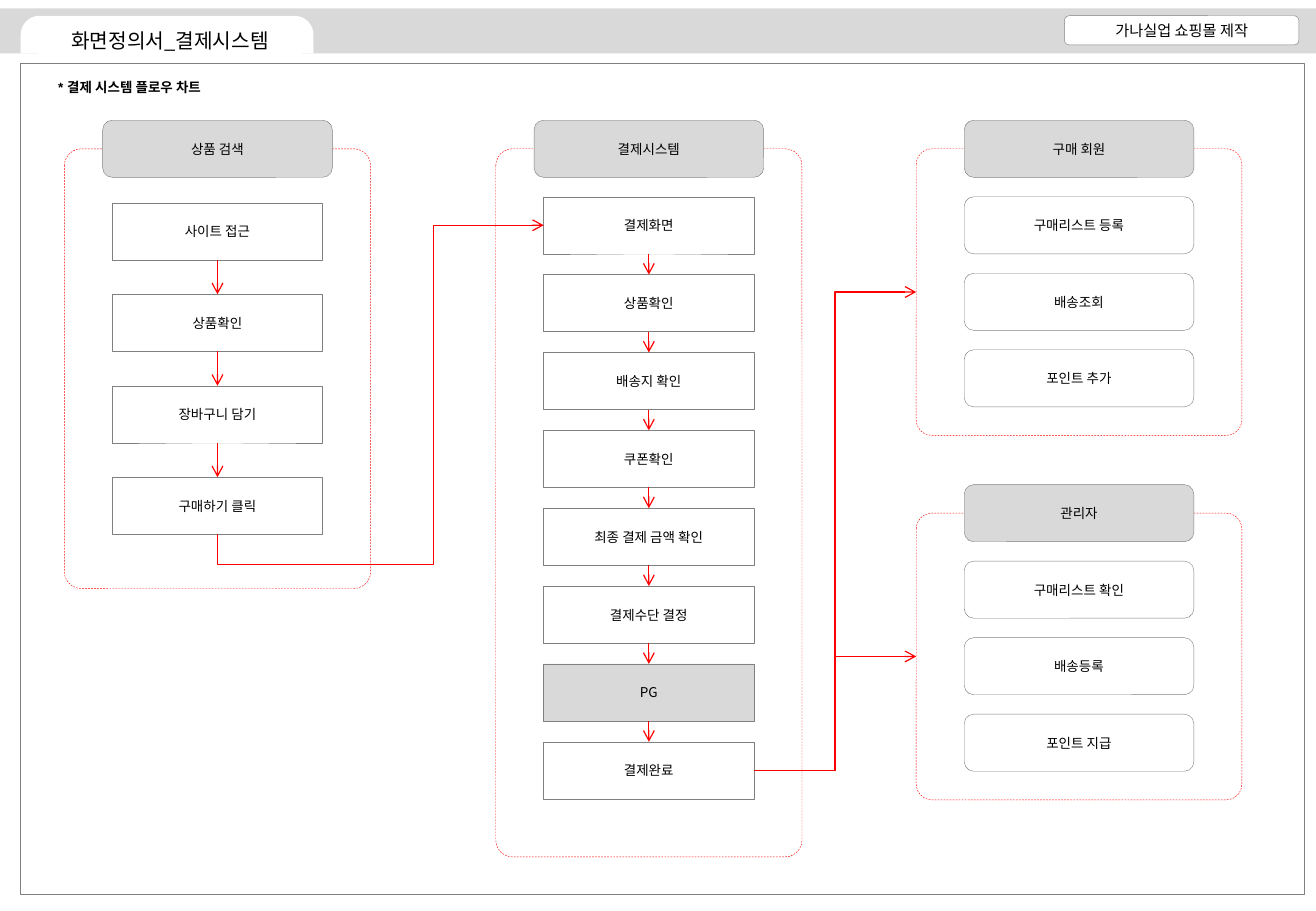
from dataclasses import dataclass
from itertools import pairwise

from lxml.etree import SubElement
from pptx import Presentation
from pptx.dml.color import RGBColor
from pptx.enum.dml import MSO_LINE
from pptx.enum.shapes import MSO_CONNECTOR, MSO_SHAPE
from pptx.enum.text import MSO_ANCHOR, MSO_AUTO_SIZE, PP_ALIGN
from pptx.oxml.ns import qn
from pptx.shapes.autoshape import Shape
from pptx.shapes.connector import Connector
from pptx.util import Inches, Pt

BLACK = RGBColor(0x00, 0x00, 0x00)
WHITE = RGBColor(0xFF, 0xFF, 0xFF)
GRAY = RGBColor(0x80, 0x80, 0x80)
LIGHT = RGBColor(0xD9, 0xD9, 0xD9)
RED = RGBColor(0xFF, 0x00, 0x00)
FONT = "Noto Sans CJK KR"
RECT, ROUND = MSO_SHAPE.RECTANGLE, MSO_SHAPE.ROUNDED_RECTANGLE
TOP, LEFT, BOTTOM, RIGHT = range(4)  # connection sites
BOX_H, HEADER_W = 0.47, 1.89


@dataclass
class Column:
    title: str
    steps: list[str]
    center: float
    top: float
    panel_w: float
    panel_h: float
    first: float  # top of the first step
    pitch: float
    step_w: float = 1.73
    step_kind: MSO_SHAPE = RECT
    chained: bool = True


SEARCH = Column("상품 검색", ["사이트 접근", "상품확인", "장바구니 담기", "구매하기 클릭"],
                1.79, 0.99, 2.52, 3.62, 1.67, 0.753)
PAYMENT = Column("결제시스템", ["결제화면", "상품확인", "배송지 확인", "쿠폰확인", "최종 결제 금액 확인",
                           "결제수단 결정", "PG", "결제완료"],
                 5.34, 0.99, 2.52, 5.83, 1.62, 0.641)
MEMBER = Column("구매 회원", ["구매리스트 등록", "배송조회", "포인트 추가"],
                8.88, 0.99, 2.68, 2.36, 1.62, 0.63, HEADER_W, ROUND, False)
ADMIN = Column("관리자", ["구매리스트 확인", "배송등록", "포인트 지급"],
               8.88, 3.99, 2.68, 2.36, 4.62, 0.63, HEADER_W, ROUND, False)

prs = Presentation()
prs.slide_width, prs.slide_height = Inches(10.83), Inches(7.5)
s = prs.slides.add_slide(prs.slide_layouts[6])


def write(sp: Shape, text: str, *, size: float = 8, font: str = FONT,
          bold: bool = False, align: PP_ALIGN = PP_ALIGN.CENTER) -> None:
    p = sp.text_frame.paragraphs[0]
    p.alignment = align
    r = p.add_run()
    r.text = text
    r.font.size, r.font.bold, r.font.name = Pt(size), bold, font
    r.font.color.rgb = BLACK
    SubElement(r.font._element, qn("a:ea")).set("typeface", FONT)


def box(kind: MSO_SHAPE, x: float, y: float, w: float, h: float, *,
        text: str = "", size: float = 8, fill: RGBColor | None = None,
        line: RGBColor | None = GRAY, adj: tuple[float, ...] = (),
        dashed: bool = False) -> Shape:
    sp = s.shapes.add_shape(kind, Inches(x), Inches(y), Inches(w), Inches(h))
    sp.shadow.inherit = False
    if fill is None:
        sp.fill.background()
    else:
        sp.fill.solid()
        sp.fill.fore_color.rgb = fill
    if line is None:
        sp.line.fill.background()
    else:
        sp.line.color.rgb, sp.line.width = line, Pt(0.25)
    if dashed:
        sp.line.dash_style = MSO_LINE.DASH
    for i, value in enumerate(adj):
        sp.adjustments[i] = value
    if text:
        sp.text_frame.vertical_anchor = MSO_ANCHOR.MIDDLE
        write(sp, text, size=size)
    return sp


def arrow(start: Shape, start_site: int, end: Shape, end_site: int,
          kind: MSO_CONNECTOR = MSO_CONNECTOR.STRAIGHT) -> Connector:
    c = s.shapes.add_connector(kind, 0, 0, 0, 0)
    c.begin_connect(start, start_site)
    c.end_connect(end, end_site)
    c.line.color.rgb, c.line.width = RED, Pt(0.75)
    SubElement(c.line._get_or_add_ln(), qn("a:tailEnd")).set("type", "arrow")
    SubElement(c._element.spPr, qn("a:effectLst"))
    return c


def draw_column(col: Column) -> tuple[Shape, list[Shape]]:
    """Draw the panel, its header and steps; return the panel and steps."""
    panel = box(ROUND, col.center - col.panel_w / 2, col.top + BOX_H / 2,
                col.panel_w, col.panel_h, line=RED, adj=(0.055,), dashed=True)
    box(ROUND, col.center - HEADER_W / 2, col.top, HEADER_W, BOX_H,
        text=col.title, fill=LIGHT)
    steps = [box(col.step_kind, col.center - col.step_w / 2, col.first + i * col.pitch,
                 col.step_w, BOX_H, text=text, fill=LIGHT if text == "PG" else None)
             for i, text in enumerate(col.steps)]
    if col.chained:
        for upper, lower in pairwise(steps):
            arrow(upper, BOTTOM, lower, TOP)
    return panel, steps


def route_under(c: Connector, drop: float, turn: float) -> None:
    """Leave downward, then turn up and enter the target from the left."""
    x, y, w, h = c.left, c.top, c.width, c.height
    c.left, c.top = x + (w - h) // 2, y + (h - w) // 2
    c.width, c.height = h, w
    xfrm = c._element.spPr.find(qn("a:xfrm"))
    for name, value in (("rot", "5400000"), ("flipH", "1"), ("flipV", "1")):
        xfrm.set(name, value)
    geom = c._element.spPr.find(qn("a:prstGeom"))
    geom.set("prst", "bentConnector4")
    guides = geom.find(qn("a:avLst"))
    for name, value in (("adj1", -drop), ("adj2", turn)):
        gd = SubElement(guides, qn("a:gd"))
        gd.set("name", name)
        gd.set("fmla", f"val {round(value * 100000)}")


# Page frame and title bar
box(RECT, 0, 0.07, 10.83, 0.37, fill=LIGHT, line=None)
box(MSO_SHAPE.ROUND_2_SAME_RECTANGLE, 0.17, 0.13, 2.41, 0.31,
    fill=WHITE, line=None, adj=(0.5, 0))
box(RECT, 0.17, 0.52, 10.56, 6.84)
box(ROUND, 8.76, 0.13, 1.93, 0.24, text="가나실업 쇼핑몰 제작", size=9, fill=WHITE)
box(ROUND, 0.3, 0.21, 2.2, 0.24, text="화면정의서_결제시스템", size=12,
    fill=WHITE, line=None)

# Chart heading
heading = s.shapes.add_textbox(Inches(0.38), Inches(0.6), Inches(1.54), Inches(0.24))
heading.text_frame.word_wrap = False
heading.text_frame.auto_size = MSO_AUTO_SIZE.SHAPE_TO_FIT_TEXT
write(heading, "* 결제 시스템 플로우 차트", font="Arial", bold=True, align=PP_ALIGN.LEFT)

# Flow columns
_, search_steps = draw_column(SEARCH)
_, payment_steps = draw_column(PAYMENT)
member_panel, _ = draw_column(MEMBER)
admin_panel, _ = draw_column(ADMIN)

# Links between columns
to_payment = arrow(search_steps[-1], BOTTOM, payment_steps[0], LEFT, MSO_CONNECTOR.ELBOW)
route_under(to_payment, drop=0.098, turn=0.662)
for target in (member_panel, admin_panel):
    arrow(payment_steps[-1], RIGHT, target, LEFT, MSO_CONNECTOR.ELBOW)

prs.save("out.pptx")
